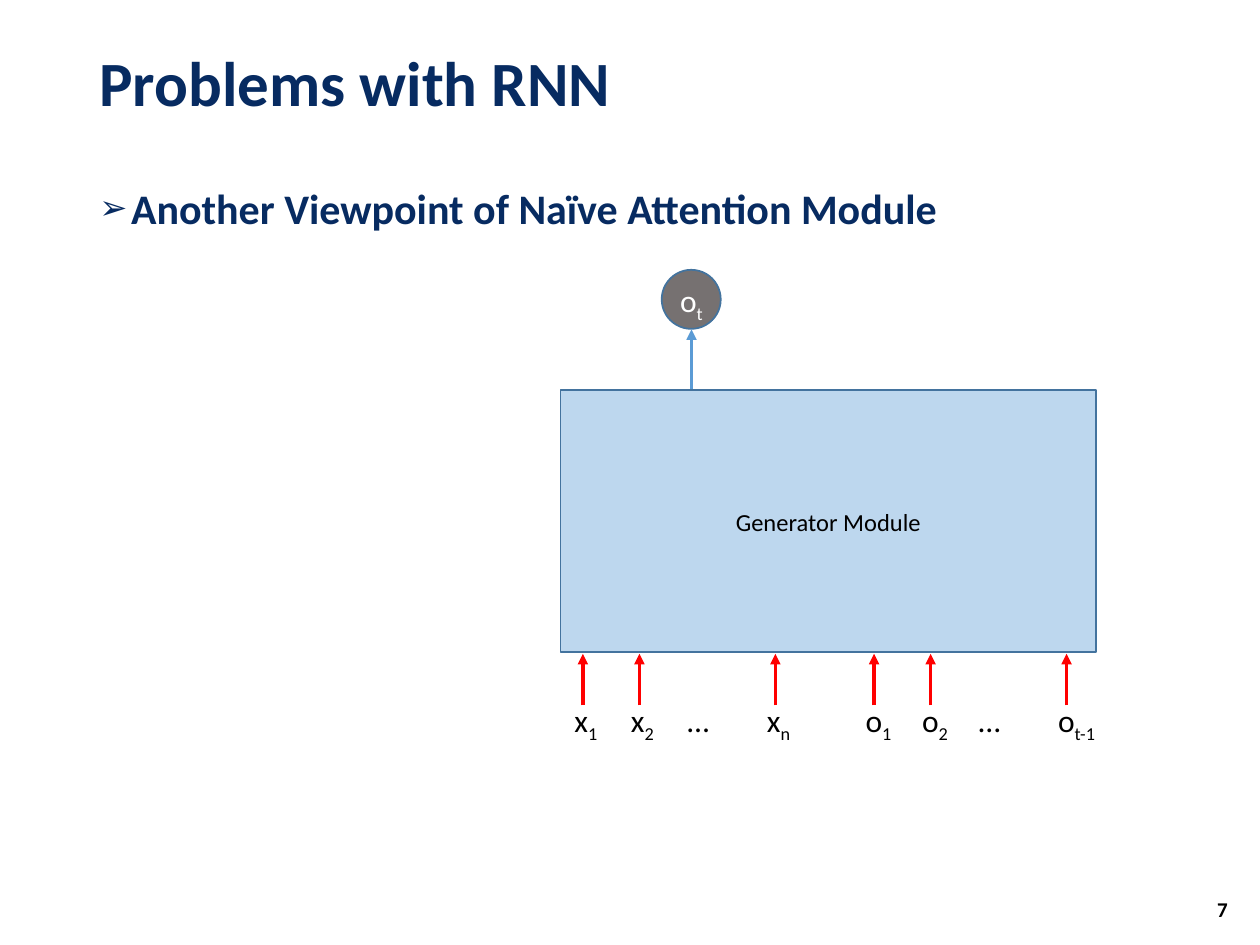
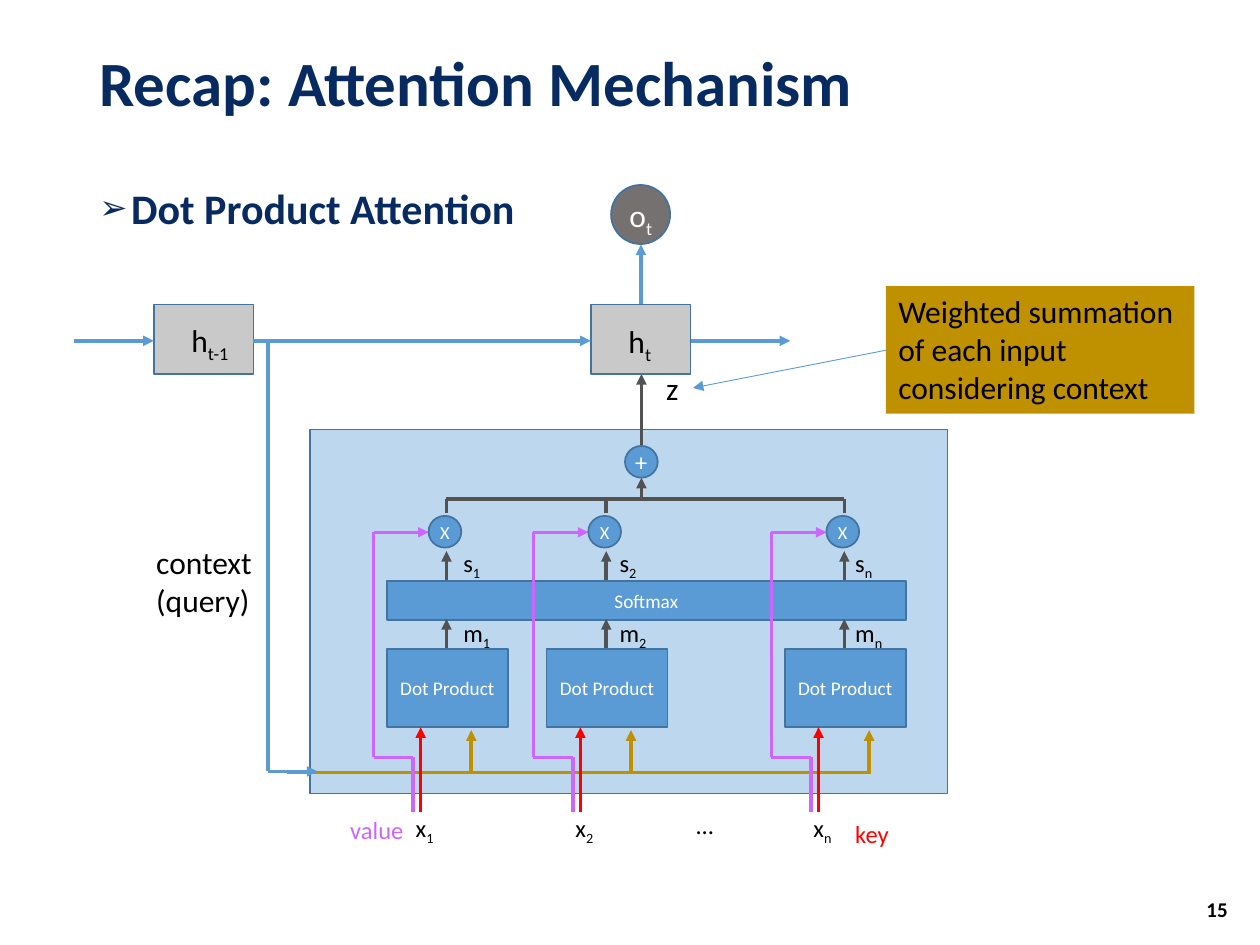
from itertools import pairwise

from lxml.etree import SubElement
from pptx import Presentation
from pptx.dml.color import RGBColor
from pptx.enum.shapes import MSO_CONNECTOR, MSO_SHAPE
from pptx.enum.text import MSO_ANCHOR, MSO_AUTO_SIZE, PP_ALIGN
from pptx.oxml.ns import qn
from pptx.util import Cm, Pt

FONT = "Calibri"
NAVY, BLACK, WHITE = "072B61", "000000", "FFFFFF"
BLUE, OUTLINE, PALE_BLUE = "5B9BD5", "43739E", "BDD7EE"
GRAY, LIGHT_GRAY, DARK_GRAY = "767171", "C9C9C9", "525252"
RED, GOLD, VIOLET = "FF0000", "BF9000", "CC66FF"
RECTANGLE, OVAL = MSO_SHAPE.RECTANGLE, MSO_SHAPE.OVAL
color = RGBColor.from_string


def add_box(slide, left, top, width, height, text="", size=18, ink=BLACK, fill=None, kind=None):
    """Add a preset shape, or a text box if kind is None; "_" starts a subscript."""
    place = Cm(left), Cm(top), Cm(width), Cm(height)
    if kind is None:
        shape = slide.shapes.add_textbox(*place)
        shape.text_frame.word_wrap = False
    else:
        shape = slide.shapes.add_shape(kind, *place)
        shape.shadow.inherit = False
        shape.line.color.rgb = color(OUTLINE)
        shape.line.width = Pt(1)
    if fill:
        shape.fill.solid()
        shape.fill.fore_color.rgb = color(fill)
    if not text:
        return shape

    frame = shape.text_frame
    base, _, subscript = text.partition("_")
    frame.text = base
    if subscript:
        run = frame.paragraphs[0].add_run()
        run.text = subscript
        run.font._element.set("baseline", "-25000")
    if kind is not None:
        frame.margin_left = frame.margin_right = frame.margin_top = frame.margin_bottom = 0
        frame.vertical_anchor = MSO_ANCHOR.MIDDLE
        frame.paragraphs[0].alignment = PP_ALIGN.CENTER
    for paragraph in frame.paragraphs:
        for run in paragraph.runs:
            run.font.name = FONT
            run.font.size = Pt(size)
            run.font.color.rgb = color(ink)
    return shape


def add_path(slide, points, ink, arrow=True, width=2):
    """Join the points with straight lines, with an arrowhead at the last one."""
    for start, end in pairwise(points):
        line = slide.shapes.add_connector(MSO_CONNECTOR.STRAIGHT, *map(Cm, start + end))
        line.line.color.rgb = color(ink)
        line.line.width = Pt(width)
        if arrow and end == points[-1]:
            SubElement(line.line._get_or_add_ln(), qn("a:tailEnd"), type="triangle")
        SubElement(line._element.spPr, qn("a:effectLst"))


presentation = Presentation()
presentation.slide_width, presentation.slide_height = Cm(25.4), Cm(19.05)

# Title, heading and page number of each slide
slides = []
for number, title, heading in (
    ("7", "Problems with RNN", "Another Viewpoint of Naïve Attention Module"),
    ("15", "Recap: Attention Mechanism", "Dot Product Attention"),
):
    slide = presentation.slides.add_slide(presentation.slide_layouts[1])
    slides.append(slide)
    title_shape, body = slide.placeholders
    for shape, text, top, height, size, anchor in (
        (title_shape, title, 0.46, 2.57, 36, MSO_ANCHOR.MIDDLE),
        (body, heading, 3.66, 13.82, 24, MSO_ANCHOR.TOP),
    ):
        shape.left, shape.top, shape.width, shape.height = Cm(1.75), Cm(top), Cm(21.9), Cm(height)
        frame = shape.text_frame
        frame.text = text
        frame.auto_size = MSO_AUTO_SIZE.NONE
        frame.vertical_anchor = anchor
        paragraph = frame.paragraphs[0]
        paragraph.alignment = PP_ALIGN.LEFT
        paragraph.line_spacing = 0.9
        paragraph.space_before = Pt(0)
        font = paragraph.runs[0].font
        font.name, font.size, font.bold = FONT, Pt(size), True
        font.color.rgb = color(NAVY)

    properties = body.text_frame.paragraphs[0]._p.get_or_add_pPr()
    properties.set("marL", str(Cm(0.64)))
    properties.set("indent", str(-Cm(0.64)))
    SubElement(properties, qn("a:buSzPct"), val="80000")
    SubElement(properties, qn("a:buChar"), char="➢")

    page = add_box(slide, 23.77, 17.81, 1.23, 1.02, number, 12)
    page.text_frame.word_wrap = True
    page.text_frame.vertical_anchor = MSO_ANCHOR.MIDDLE
    page.text_frame.paragraphs[0].alignment = PP_ALIGN.RIGHT
    page.text_frame.paragraphs[0].runs[0].font.bold = True

generator_slide, attention_slide = slides

# Output node, the same on both slides
for slide, left, top in ((generator_slide, 13.34, 5.44), (attention_slide, 12.32, 3.73)):
    add_box(slide, left, top, 1.19, 1.19, fill=GRAY, kind=OVAL)
    add_box(slide, left + 0.12, top + 0.1, 1.02, 1.02, "o_t", ink=WHITE)
    add_path(slide, [(left + 0.6, top + 2.44), (left + 0.6, top + 1.2)], BLUE)

# Generator module and its inputs
slide = generator_slide
add_box(slide, 11.3, 7.87, 10.8, 5.28, "Generator Module", 14, fill=PALE_BLUE, kind=RECTANGLE)
for label, left, width in (
    ("x_1", 11.33, 1.02), ("x_2", 12.47, 1.02), ("x_n", 15.21, 1.02),
    ("o_1", 17.2, 1.07), ("o_2", 18.34, 1.07), ("o_t-1", 21.08, 1.32),
):
    add_box(slide, left, 14, width, 1.02, label)
    add_path(slide, [(left + 0.42, 14.22), (left + 0.42, 13.18)], RED)
for left in (13.61, 19.48):
    add_box(slide, left, 14, 1.14, 1.02, "…")

# Attention panel
slide = attention_slide
add_box(slide, 6.25, 8.66, 12.85, 7.34, fill=PALE_BLUE, kind=RECTANGLE)
add_path(slide, [(5.79, 15.57), (17.55, 15.57)], GOLD, arrow=False)
add_box(slide, 7.8, 11.71, 10.46, 0.79, "Softmax", 11, WHITE, BLUE, RECTANGLE)

# One column for each input
columns = (("1", 7.8, 9.09), ("2", 11.02, 12.24), ("n", 15.82, 16.99))
for index, left, label_left in columns:
    middle = left + 1.2
    value_left, value_right = left - 0.27, left + 0.53
    add_box(slide, left, 13.08, 2.44, 1.57, "Dot Product", 11, WHITE, BLUE, RECTANGLE)
    add_path(slide, [(left + 1.7, 15.57), (left + 1.7, 14.72)], GOLD)
    add_path(slide, [(middle, 13.06), (middle, 12.48)], DARK_GRAY)
    add_path(slide, [(middle, 11.7), (middle, 11.11)], DARK_GRAY)
    add_path(slide, [(middle, 10.34), (middle, 10.06)], DARK_GRAY, arrow=False)
    add_path(slide, [(value_right, 16.36), (value_right, 15.27), (value_left, 15.27),
                     (value_left, 10.73), (left + 0.84, 10.73)], VIOLET)
    add_path(slide, [(left + 0.68, 16.36), (left + 0.68, 14.66)], RED)
    add_box(slide, left + 0.84, 10.4, 0.66, 0.64, "X", 10.5, WHITE, BLUE, OVAL)
    add_box(slide, label_left, 12.34, 1.07, 0.86, f"m_{index}", 14)
    add_box(slide, label_left, 10.92, 0.86, 0.86, f"s_{index}", 14)
    add_box(slide, left + 0.33, 16.26, 0.91, 0.86, f"x_{index}", 14)

# Weighted sum
add_path(slide, [(columns[0][1] + 1.2, 10.06), (columns[-1][1] + 1.2, 10.06)], DARK_GRAY, arrow=False)
add_path(slide, [(12.93, 10.06), (12.93, 9.63)], DARK_GRAY)
add_path(slide, [(12.93, 8.99), (12.93, 7.54)], DARK_GRAY)
add_box(slide, 12.6, 8.99, 0.66, 0.64, "+", 14, WHITE, BLUE, OVAL)

# Hidden states and the query taken from the earlier one
for left in (3.1, 11.91):
    add_box(slide, left, 6.14, 2.01, 1.4, fill=LIGHT_GRAY, kind=RECTANGLE)
for start, end in ((1.5, 3.1), (5.11, 11.91), (13.92, 15.93)):
    add_path(slide, [(start, 6.87), (end, 6.87)], BLUE)
add_path(slide, [(5.4, 6.87), (5.4, 15.55), (6.4, 15.55)], BLUE)

# Labels
for text, left, top, width, size, ink in (
    ("h_t-1", 3.61, 6.35, 1.32, 18, BLACK),
    ("h_t", 12.42, 6.37, 0.97, 18, BLACK),
    ("z", 13.18, 7.32, 0.79, 18, BLACK),
    ("context", 2.9, 10.82, 2.51, 18, BLACK),
    ("(query)", 2.9, 11.58, 2.41, 18, BLACK),
    ("…", 13.79, 16.21, 1.02, 14, BLACK),
    ("value", 6.81, 16.31, 1.6, 14, VIOLET),
    ("key", 16.99, 16.38, 1.19, 14, RED),
):
    add_box(slide, left, top, width, 1.02 if size == 18 else 0.86, text, size, ink)

# Callout
add_box(slide, 17.86, 5.77, 6.22, 2.57,
        "Weighted summation\nof each input\vconsidering context", fill=GOLD)
add_path(slide, [(17.86, 7.06), (13.97, 7.82)], BLUE, width=0.5)

presentation.save("out.pptx")
